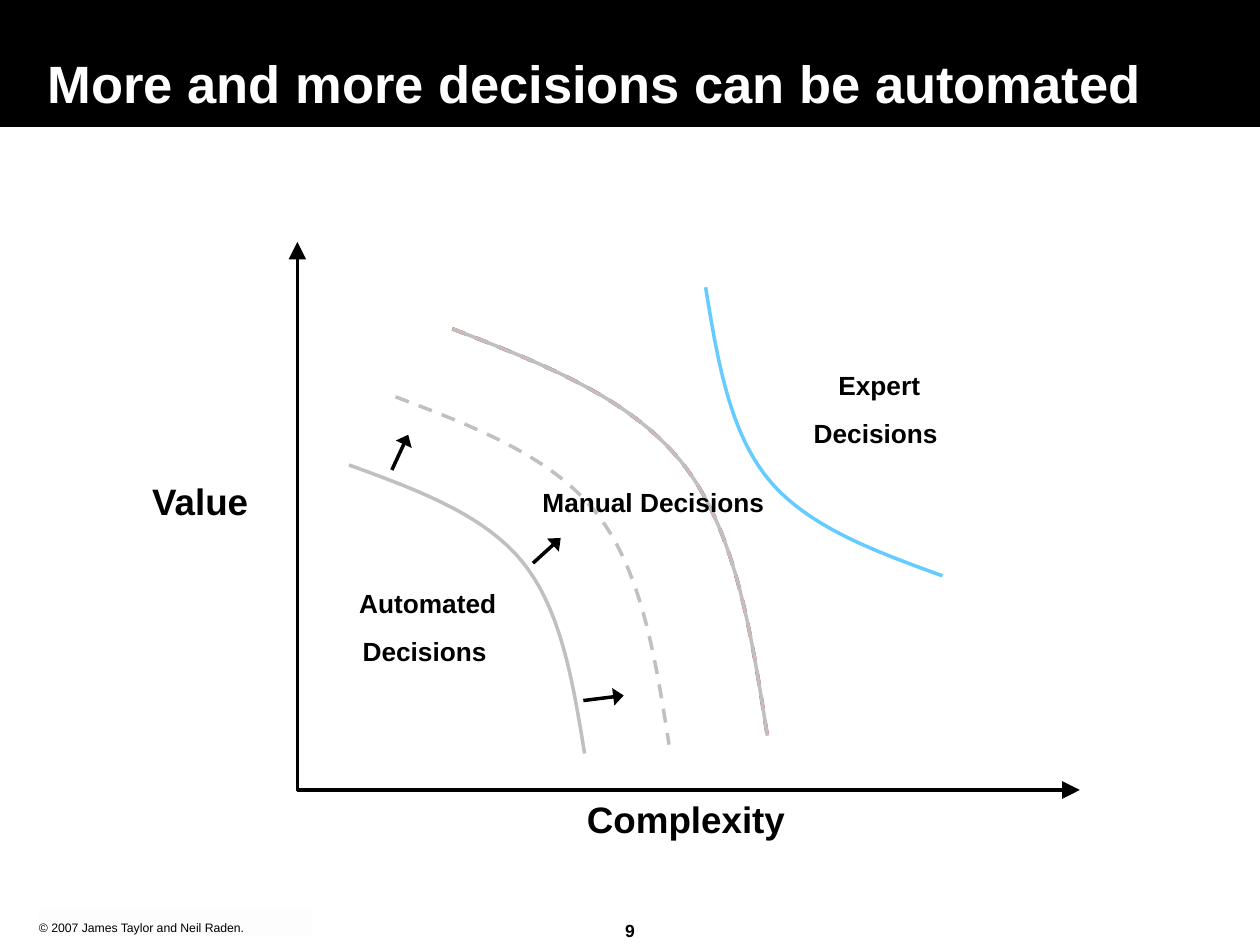
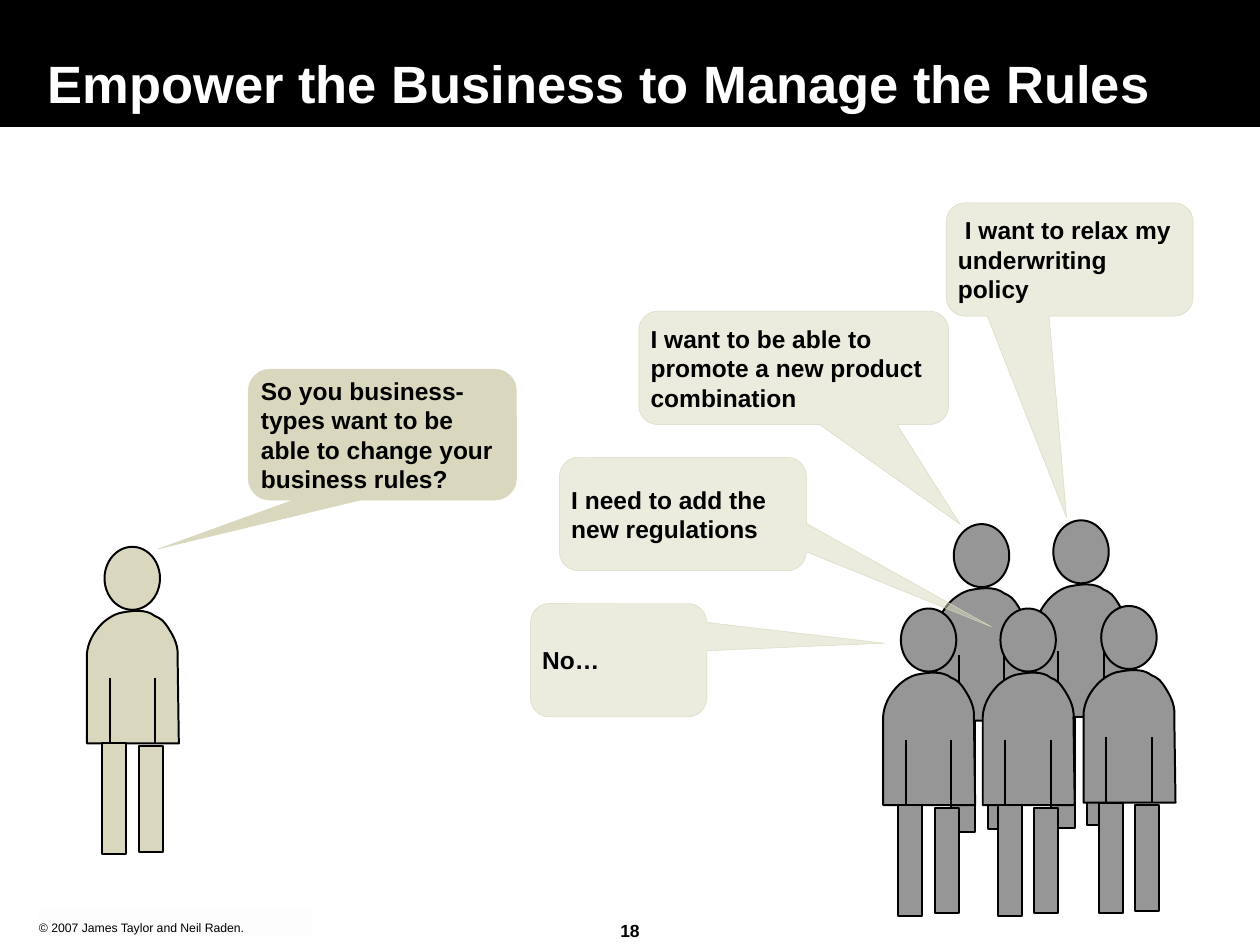
"""Build two slides on automating decisions and managing business rules."""
from lxml import etree
from pptx import Presentation
from pptx import util as u
from pptx.dml.color import RGBColor
from pptx.enum import dml, shapes, text
from pptx.oxml.ns import qn

BLACK = RGBColor(0x00, 0x00, 0x00)
WHITE = RGBColor(0xFF, 0xFF, 0xFF)
SILVER = RGBColor(0xC0, 0xC0, 0xC0)
GRAY = RGBColor(0x96, 0x96, 0x96)
SKY = RGBColor(0x66, 0xCC, 0xFF)
RED = RGBColor(0xCC, 0x00, 0x00)
SAND = RGBColor(0xD9, 0xD8, 0xBE)
CREAM = RGBColor(0xF7, 0xF5, 0xEF)
FONT = "Arial"
LEFT, CENTER = text.PP_ALIGN.LEFT, text.PP_ALIGN.CENTER
TOP, MIDDLE, BOTTOM = text.MSO_ANCHOR.TOP, text.MSO_ANCHOR.MIDDLE, text.MSO_ANCHOR.BOTTOM
PRESET = shapes.MSO_SHAPE

COPYRIGHT = "© 2007 James Taylor and Neil Raden."
CHART_TITLE, CHART_NUMBER = "More and more decisions can be automated", "9"
RULES_TITLE, RULES_NUMBER = "Empower the Business to Manage the Rules", "18"

AXES = [((2.36, 6.27), (8.57, 6.27)), ((2.36, 6.28), (2.36, 1.92))]
SHIFT_ARROWS = [((3.11, 3.73), (3.24, 3.45)), ((4.23, 4.47), (4.45, 4.27)),
                ((4.63, 5.56), (4.95, 5.52))]
CHART_LABELS = [
    (["Complexity"], (4.56, 6.22, 2.27, 0.55), 21, LEFT),
    (["Value"], (1.11, 3.7, 1.48, 0.55), 21, LEFT),
    ([" Automated", "Decisions"], (2.57, 4.56, 1.6, 0.83), 15, CENTER),
    ([" Expert", "Decisions"], (6.15, 2.83, 1.6, 0.83), 15, CENTER),
    (["Manual Decisions"], (3.74, 3.76, 2.89, 0.45), 15, CENTER),
]
FRONTIER = [(0, 0), (0.285, 0.085), (0.57, 0.17), (0.735, 0.335),
            (0.9, 0.5), (0.95, 0.75), (1, 1)]
FRONTIERS = [
    ((2.77, 3.69, 1.87, 2.29), SILVER, False),
    ((7.48, 4.57, -1.88, -2.29), SKY, False),
    ((3.14, 3.15, 2.17, 2.76), SILVER, True),
    ((3.59, 2.61, 2.5, 3.23), RED, True),
    ((3.59, 2.61, 2.5, 3.23), SILVER, False),
]

COAT = [(0.59, 1.56),
        (-0.14, 1.56), (-0.14, 1.56), (-0.14, 1.56),
        (-0.14, 0.87), (-0.14, 0.87), (-0.14, 0.87),
        (-0.14, 0.87), (-0.15, 0.74), (-0.02, 0.61),
        (-0.02, 0.61), (0.06, 0.53), (0.15, 0.52),
        (0.21, 0.51), (0.33, 0.49), (0.4, 0.55),
        (0.4, 0.55), (0.46, 0.57), (0.49, 0.62),
        (0.53, 0.68), (0.59, 0.77), (0.58, 0.87),
        (0.58, 0.87), (0.59, 1.56), (0.59, 1.56)]
LEGS = [(0.27, 1.58, 0.19, 0.84), (-0.02, 1.56, 0.19, 0.88)]
ARM_LINES = [0.04, 0.4]
ANALYST = [(0.83, 4.34)]
BUSINESS_PEOPLE = [(8.36, 4.13), (7.57, 4.16), (7.15, 4.83), (7.94, 4.83), (8.74, 4.81)]

BACK_CALLOUTS = [
    ("So you business-types want to be able to change your business rules?",
     (1.97, 2.93, 2.13, 1.04), (-0.835, 0.872), None),
    (" I want to relax my underwriting policy", (7.51, 1.61, 1.96, 0.9), (-0.012, 2.279), 50),
    ("I want to be able to promote a new product combination",
     (5.07, 2.47, 2.46, 0.9), (0.537, 1.38), 50),
]
FRONT_CALLOUTS = [
    ("I need to add the new regulations", (4.44, 3.63, 1.96, 0.9), (1.25, 0.995), 50),
    ("No…", (4.21, 4.79, 1.4, 0.9), (1.507, -0.15), 50),
]


def inches(values):
    return [u.Inches(value) for value in values]


def style(shape, fill=None, line=None, width=1.13, opacity=None):
    shape.shadow.inherit = False
    if fill is None:
        shape.fill.background()
    else:
        shape.fill.solid()
        shape.fill.fore_color.rgb = fill
    if opacity is not None:
        color = shape.element.spPr.find(qn("a:solidFill"))[0]
        etree.SubElement(color, qn("a:alpha"), val=str(opacity * 1000))
    if line is None:
        shape.line.fill.background()
    else:
        shape.line.color.rgb = line
        shape.line.width = u.Pt(width)
    return shape


def write(shape, lines, size, color=BLACK, bold=True, align=LEFT, anchor=TOP,
          inset=0, after=0, spacing=None):
    frame = shape.text_frame
    frame.word_wrap = True
    frame.vertical_anchor = anchor
    frame.margin_left = frame.margin_right = u.Inches(inset)
    frame.margin_top = frame.margin_bottom = u.Inches(inset)
    for index, line in enumerate(lines):
        paragraph = frame.add_paragraph() if index else frame.paragraphs[0]
        paragraph.alignment = align
        paragraph.space_after = u.Pt(after)
        if spacing:
            paragraph.line_spacing = spacing
        run = paragraph.add_run()
        run.text = line
        run.font.name, run.font.size, run.font.bold = FONT, u.Pt(size), bold
        run.font.color.rgb = color


def add_line(parts, start, end, width, head_length=None):
    connector = parts.add_connector(shapes.MSO_CONNECTOR.STRAIGHT, *inches(start + end))
    connector.line.color.rgb = BLACK
    connector.line.width = u.Pt(width)
    properties = connector.element.spPr
    if head_length:
        etree.SubElement(properties.find(qn("a:ln")), qn("a:tailEnd"),
                         type="triangle", w="lg", len=head_length)
    etree.SubElement(properties, qn("a:effectLst"))


def add_curve(parts, controls, close=False):
    points = [inches(point) for point in controls]
    builder = parts.build_freeform(*points[0])
    builder.add_line_segments(points[1:], close=close)
    curve = builder.convert_to_shape()
    segments = list(curve.element.spPr.iter(qn("a:lnTo")))
    for first in range(0, len(segments), 3):
        bezier = etree.Element(qn("a:cubicBezTo"))
        segments[first].addprevious(bezier)
        for segment in segments[first:first + 3]:
            bezier.append(segment[0])
            segment.getparent().remove(segment)
    return curve


def add_frontier(slide, box, color, dashed):
    left, top, width, height = box
    controls = [(left + x * width, top + y * height) for x, y in FRONTIER]
    curve = style(add_curve(slide.shapes, controls), line=color, width=2)
    if dashed:
        curve.line.dash_style = dml.MSO_LINE.DASH


def add_people(slide, heads, color):
    parts = slide.shapes.add_group_shape().shapes
    for x, y in heads:
        head = parts.add_shape(PRESET.OVAL, *inches((x, y, 0.44, 0.5)))
        coat = add_curve(parts, [(x + dx, y + dy) for dx, dy in COAT], close=True)
        members = [head, coat]
        for dx, dy, width, height in LEGS:
            members.append(parts.add_shape(PRESET.RECTANGLE,
                                           *inches((x + dx, y + dy, width, height))))
        for member in members:
            style(member, color, BLACK)
        for dx in ARM_LINES:
            add_line(parts, (x + dx, y + 1.04), (x + dx, y + 1.56), 1.13)


def add_callout(slide, words, box, tip, opacity):
    callout = slide.shapes.add_shape(PRESET.ROUNDED_RECTANGULAR_CALLOUT, *inches(box))
    for index, value in enumerate((*tip, 0.167)):
        callout.adjustments[index] = value
    style(callout, SAND, SAND, 0.25, opacity)
    write(callout, [words], 14, anchor=MIDDLE, inset=0.05)


def add_base_slide(presentation, title, number):
    slide = presentation.slides.add_slide(presentation.slide_layouts[6])
    band = slide.shapes.add_shape(PRESET.RECTANGLE, *inches((0, 0, 10, 1)))
    style(band, BLACK, BLACK, 0.75)
    number_box = slide.shapes.add_textbox(*inches((4.61, 7.3, 0.78, 0.31)))
    write(number_box, [number], 10, align=CENTER)
    footer = slide.shapes.add_shape(PRESET.RECTANGLE, *inches((0.31, 7.2, 2.17, 0.22)))
    style(footer, CREAM, opacity=10)
    write(footer, [COPYRIGHT], 7, bold=False, anchor=BOTTOM)
    title_box = slide.shapes.add_textbox(*inches((0.33, 0, 9.25, 0.95)))
    write(title_box, [title], 30, WHITE, anchor=BOTTOM, inset=0.05, spacing=0.8)
    return slide


def build_chart_slide(presentation):
    slide = add_base_slide(presentation, CHART_TITLE, CHART_NUMBER)
    for start, end in AXES:
        add_line(slide.shapes, start, end, 2, "lg")
    for frontier in FRONTIERS:
        add_frontier(slide, *frontier)
    arrows = slide.shapes.add_group_shape().shapes
    for start, end in SHIFT_ARROWS:
        add_line(arrows, start, end, 2, "med")
    for lines, box, size, align in CHART_LABELS:
        label = slide.shapes.add_textbox(*inches(box))
        write(label, lines, size, align=align, inset=0.1, after=size * 0.625)


def build_rules_slide(presentation):
    slide = add_base_slide(presentation, RULES_TITLE, RULES_NUMBER)
    for callout in BACK_CALLOUTS:
        add_callout(slide, *callout)
    add_people(slide, ANALYST, SAND)
    add_people(slide, BUSINESS_PEOPLE, GRAY)
    for callout in FRONT_CALLOUTS:
        add_callout(slide, *callout)


def main():
    presentation = Presentation()
    presentation.slide_width, presentation.slide_height = inches((10, 7.5))
    build_chart_slide(presentation)
    build_rules_slide(presentation)
    presentation.save("out.pptx")


if __name__ == "__main__":
    main()
